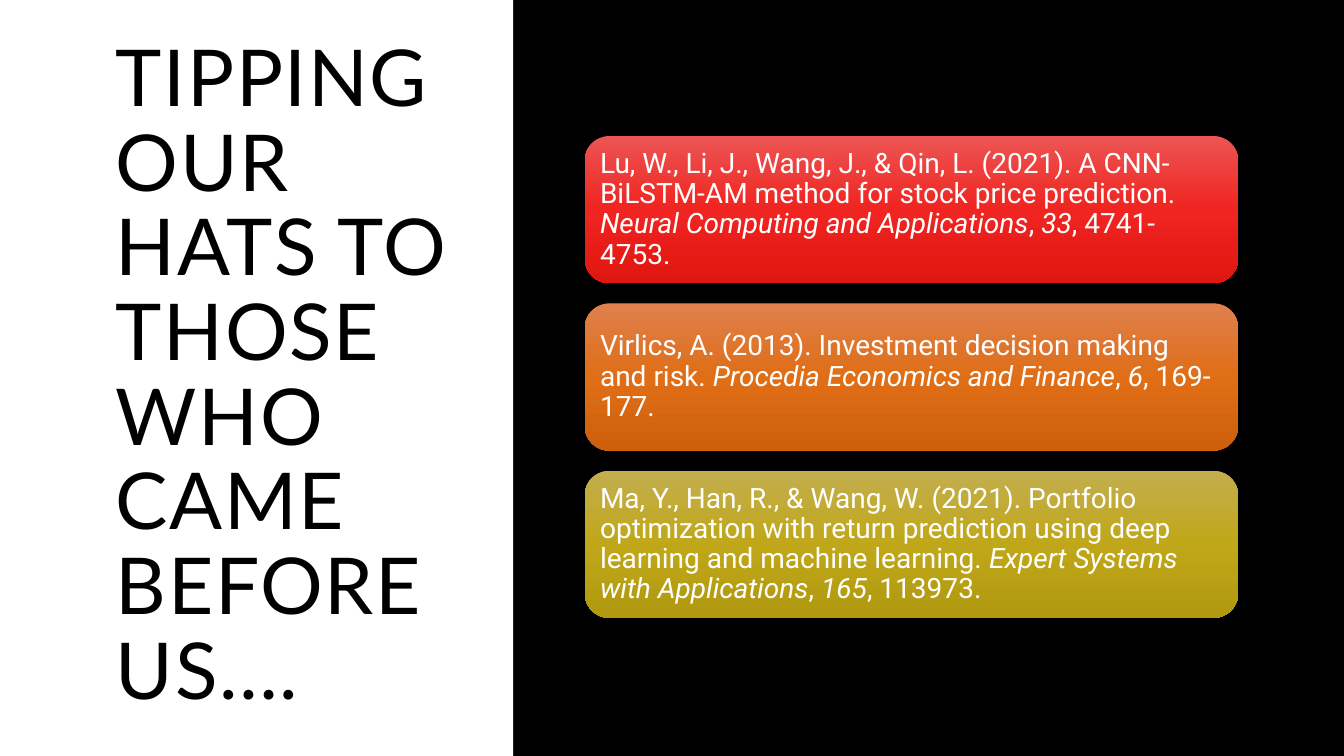
import copy

import pptx
import pptx.dml.color
import pptx.enum.shapes
import pptx.enum.text
import pptx.util

Inches = pptx.util.Inches
Pt = pptx.util.Pt
RGBColor = pptx.dml.color.RGBColor
MIDDLE = pptx.enum.text.MSO_ANCHOR.MIDDLE
LEFT = pptx.enum.text.PP_ALIGN.LEFT
SHAPES = pptx.enum.shapes.MSO_SHAPE

BLACK = RGBColor(0x00, 0x00, 0x00)
WHITE = RGBColor(0xFF, 0xFF, 0xFF)
RED = (RGBColor(0xEC, 0x55, 0x53), RGBColor(0xF0, 0x24, 0x20), RGBColor(0xE0, 0x16, 0x11))
ORANGE = (RGBColor(0xDF, 0x80, 0x4E), RGBColor(0xDF, 0x6E, 0x16), RGBColor(0xCE, 0x60, 0x0B))
OLIVE = (RGBColor(0xC3, 0xAE, 0x4F), RGBColor(0xC0, 0xA7, 0x19), RGBColor(0xB1, 0x99, 0x10))

# Each reference: gradient, work, journal, volume, pages
REFERENCES = [
    (RED, "Lu, W., Li, J., Wang, J., & Qin, L. (2021). A CNN-BiLSTM-AM method "
          "for stock price prediction. ",
     "Neural Computing and Applications", "33", "4741-4753."),
    (ORANGE, "Virlics, A. (2013). Investment decision making and risk. ",
     "Procedia Economics and Finance", "6", "169-177."),
    (OLIVE, "Ma, Y., Han, R., & Wang, W. (2021). Portfolio optimization with return "
            "prediction using deep learning and machine learning. ",
     "Expert Systems with Applications", "165", "113973."),
]
CARD_TOP = 1.35
CARD_STEP = 1.66


def style_run(run, font_name, size, color, italic=False):
    run.font.name = font_name
    run.font.size = Pt(size)
    run.font.color.rgb = color
    run.font.italic = italic


def add_title_panel(slide, width, height):
    panel = slide.shapes.add_shape(SHAPES.RECTANGLE, 0, 0, width, height)
    panel.shadow.inherit = False
    panel.fill.solid()
    panel.fill.fore_color.rgb = WHITE
    panel.line.fill.background()


def add_title(slide, text):
    title = slide.shapes.add_textbox(Inches(1.05), Inches(0.7), Inches(3.51), Inches(6.09))
    frame = title.text_frame
    frame.word_wrap = True
    frame.vertical_anchor = MIDDLE
    frame.text = text
    paragraph = frame.paragraphs[0]
    paragraph.line_spacing = 0.9
    run = paragraph.runs[0]
    style_run(run, "Lato", 56, BLACK)
    # Letter spacing in hundredths of a point
    run.font._element.set("spc", "120")


def fill_gradient(shape, colors):
    """Fill from top to bottom with three evenly spaced colours."""
    shape.fill.gradient()
    shape.fill.gradient_angle = 270
    first_stop = shape.fill._xPr.gradFill.gsLst[0]
    first_stop.addnext(copy.deepcopy(first_stop))
    for stop, position, color in zip(shape.fill.gradient_stops, (0, 0.5, 1), colors):
        stop.position = position
        stop.color.rgb = color


def add_reference_card(slide, top, colors, work, journal, volume, pages):
    card = slide.shapes.add_shape(
        SHAPES.ROUNDED_RECTANGLE, Inches(5.8), Inches(top), Inches(6.48), Inches(1.46))
    card.shadow.inherit = False
    card.line.fill.background()
    fill_gradient(card, colors)

    frame = card.text_frame
    frame.word_wrap = True
    frame.vertical_anchor = MIDDLE
    frame.margin_left = frame.margin_right = Inches(0.08)
    frame.margin_top = frame.margin_bottom = Inches(0.08)
    paragraph = frame.paragraphs[0]
    paragraph.alignment = LEFT
    paragraph.line_spacing = 0.9
    # Journal and volume are italic
    parts = [(work, False), (journal, True), (", ", False), (volume, True),
             (", " + pages, False)]
    for text, italic in parts:
        run = paragraph.add_run()
        run.text = text
        style_run(run, "Roboto", 20, WHITE, italic)


def main():
    presentation = pptx.Presentation()
    presentation.slide_width = Inches(13.33)
    presentation.slide_height = Inches(7.5)
    slide = presentation.slides.add_slide(presentation.slide_layouts[6])
    slide.background.fill.solid()
    slide.background.fill.fore_color.rgb = BLACK

    # Title side
    add_title_panel(slide, Inches(5.09), presentation.slide_height)
    add_title(slide, "TIPPING OUR HATS TO THOSE WHO CAME BEFORE US….")

    # Reference cards
    for index, reference in enumerate(REFERENCES):
        add_reference_card(slide, CARD_TOP + index * CARD_STEP, *reference)

    presentation.save("out.pptx")


if __name__ == "__main__":
    main()
